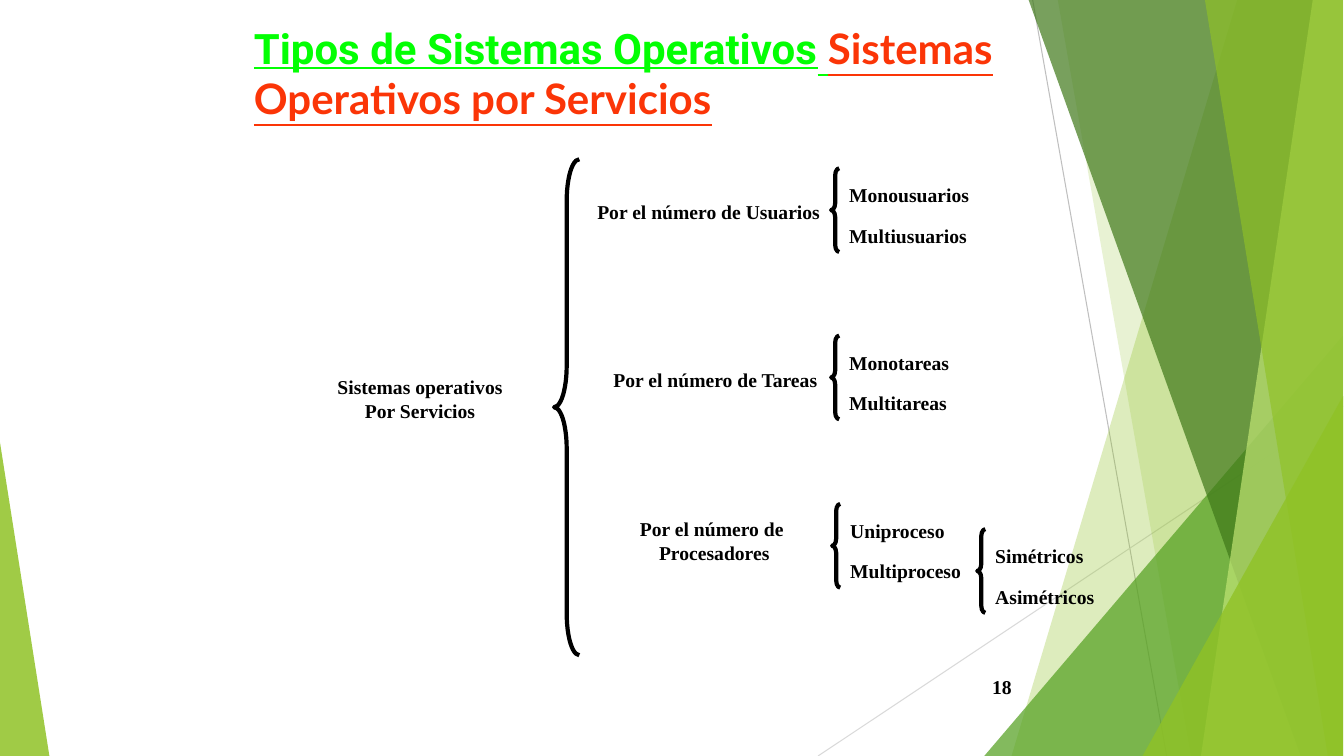
import pptx
import pptx.util
import pptx.dml.color
import pptx.enum.shapes
import pptx.enum.text
import pptx.oxml.ns
from lxml import etree

Inches = pptx.util.Inches
SHAPE = pptx.enum.shapes.MSO_SHAPE
ALIGN = pptx.enum.text.PP_ALIGN
ANCHOR = pptx.enum.text.MSO_ANCHOR

COLORS = {
    "green": "90C226", "leaf": "54A021", "forest": "3F7819", "lime": "C0E474",
    "gray": "BFBFBF", "silver": "D9D9D9", "black": "000000",
    "title_green": "03FF03", "title_red": "FB3507",
}
WIDTH, HEIGHT = 13.34, 7.5
RIGHT = 13.33

TITLE = [
    ("Tipos de Sistemas Operativos", "Roboto", "title_green"),
    (" ", "Lato", "title_green"),
    ("Sistemas Operativos por Servicios", "Lato", "title_red"),
]
# start, end, color
RAYS = [((10.25, 0), (11.58, HEIGHT), "gray"), ((RIGHT, 4.03), (8.12, HEIGHT), "silver")]
# Bands run to the right edge: top left x, bottom left x, color, opacity
# Triangles stand on the bottom edge: left, top, width, apex, color, opacity
DECOR = [
    ("band", (12.28, 10.04), "green", 30),
    ("band", (10.5, 11.82), "green", 20),
    ("triangle", (9.77, 3.33, 3.56, 1), "leaf", 72),
    ("band", (10.21, 12.91), "forest", 70),
    ("band", (13.03, 11.92), "lime", 70),
    ("band", (11.96, 13.18), "green", 65),
    ("triangle", (11.34, 3.93, 1.99, 1), "green", 80),
    ("triangle", (0, 4.39, 0.49, 0), "green", 85),
]
# lines, left, top, width
LABELS = [
    (["Sistemas operativos", "Por Servicios"], 3.25, 3.67, 1.84),
    (["Por el número de Usuarios"], 5.83, 1.93, 2.42),
    (["Por el número de Tareas"], 5.99, 3.6, 2.26),
    (["Por el número de ", "Procesadores"], 6.25, 5.08, 1.68),
]
# brace left, brace top, items
GROUPS = [
    (8.25, 1.67, ["Monousuarios", "Multiusuarios"]),
    (8.25, 3.33, ["Monotareas", "Multitareas"]),
    (8.26, 5, ["Uniproceso", "Multiproceso"]),
    (9.7, 5.25, ["Simétricos", "Asimétricos"]),
]
MAIN_BRACE = (5.5, 1.58, 0.25, 4.92)
BRACE_WIDTH, BRACE_HEIGHT = 0.08, 0.83
ITEM_OFFSET, ITEM_STEP, ITEM_WIDTH = 0.1, 0.4, 1.45
LINE_HEIGHT, BOX_PADDING = 0.235, 0.1


def color(name):
    return pptx.dml.color.RGBColor.from_string(COLORS[name])


def paint(shape, name, opacity):
    shape.shadow.inherit = False
    shape.fill.solid()
    shape.fill.fore_color.rgb = color(name)
    shape.line.fill.background()
    hue = shape.element.spPr.find(".//" + pptx.oxml.ns.qn("a:srgbClr"))
    etree.SubElement(hue, pptx.oxml.ns.qn("a:alpha"), val=str(opacity * 1000))


def add_ray(page, start, end, name):
    ray = page.shapes.add_connector(
        pptx.enum.shapes.MSO_CONNECTOR.STRAIGHT, *map(Inches, start + end))
    ray.line.color.rgb = color(name)
    ray.line.width = pptx.util.Pt(0.75)
    etree.SubElement(ray.element.spPr, pptx.oxml.ns.qn("a:effectLst"))


def add_band(page, top_left, bottom_left):
    outline = page.shapes.build_freeform(Inches(top_left), 0)
    corners = [(RIGHT, 0), (RIGHT, HEIGHT), (bottom_left, HEIGHT)]
    outline.add_line_segments([(Inches(x), Inches(y)) for x, y in corners], close=True)
    return outline.convert_to_shape()


def add_triangle(page, left, top, width, apex):
    triangle = page.shapes.add_shape(
        SHAPE.ISOSCELES_TRIANGLE, *map(Inches, (left, top, width, HEIGHT - top)))
    triangle.adjustments[0] = apex
    return triangle


def add_brace(page, left, top, width, height):
    brace = page.shapes.add_shape(SHAPE.LEFT_BRACE, *map(Inches, (left, top, width, height)))
    brace.adjustments[0] = height / 12 / width
    brace.shadow.inherit = False
    brace.fill.background()
    brace.line.color.rgb = color("black")
    brace.line.width = pptx.util.Pt(3)


def format_span(span, size=14, font="Times New Roman", name="black", underline=None):
    span.font.size = pptx.util.Pt(size)
    span.font.name = font
    span.font.bold = True
    span.font.underline = underline
    span.font.color.rgb = color(name)


def add_text(page, lines, left, top, width, height=None, align=ALIGN.LEFT,
             anchor=ANCHOR.TOP, wrap=False):
    height = height or LINE_HEIGHT * len(lines) + BOX_PADDING
    box = page.shapes.add_textbox(*map(Inches, (left, top, width, height)))
    frame = box.text_frame
    frame.word_wrap = wrap
    frame.vertical_anchor = anchor
    for index, line in enumerate(lines):
        para = frame.paragraphs[0] if index == 0 else frame.add_paragraph()
        para.alignment = align
        span = para.add_run()
        span.text = line
        format_span(span)


def fill_title(title):
    title.left, title.top, title.width, title.height = map(Inches, (2.42, 0.17, 8.5, 1.25))
    frame = title.text_frame
    frame.word_wrap = True
    frame.auto_size = pptx.enum.text.MSO_AUTO_SIZE.NONE
    frame.vertical_anchor = ANCHOR.TOP
    para = frame.paragraphs[0]
    para.alignment = ALIGN.LEFT
    for text, font, name in TITLE:
        span = para.add_run()
        span.text = text
        format_span(span, size=30, font=font, name=name, underline=True)


def main():
    deck = pptx.Presentation()
    deck.slide_width, deck.slide_height = Inches(WIDTH), Inches(HEIGHT)
    page = deck.slides.add_slide(deck.slide_layouts[5])

    for start, end, name in RAYS:
        add_ray(page, start, end, name)
    builders = {"band": add_band, "triangle": add_triangle}
    for kind, geometry, name, opacity in DECOR:
        paint(builders[kind](page, *geometry), name, opacity)

    title = page.shapes.title
    title.element.getparent().append(title.element)  # bring in front of the decoration
    fill_title(title)
    add_text(page, ["18"], 9.39, 6.61, 0.75, height=0.4, align=ALIGN.RIGHT,
             anchor=ANCHOR.MIDDLE, wrap=True)

    for lines, left, top, width in LABELS:
        add_text(page, lines, left, top, width,
                 align=ALIGN.CENTER if len(lines) > 1 else ALIGN.LEFT)
    add_brace(page, *MAIN_BRACE)
    for left, top, items in GROUPS:
        add_brace(page, left, top, BRACE_WIDTH, BRACE_HEIGHT)
        for index, item in enumerate(items):
            add_text(page, [item], left + BRACE_WIDTH,
                     top + ITEM_OFFSET + index * ITEM_STEP, ITEM_WIDTH)

    deck.save("out.pptx")


if __name__ == "__main__":
    main()
